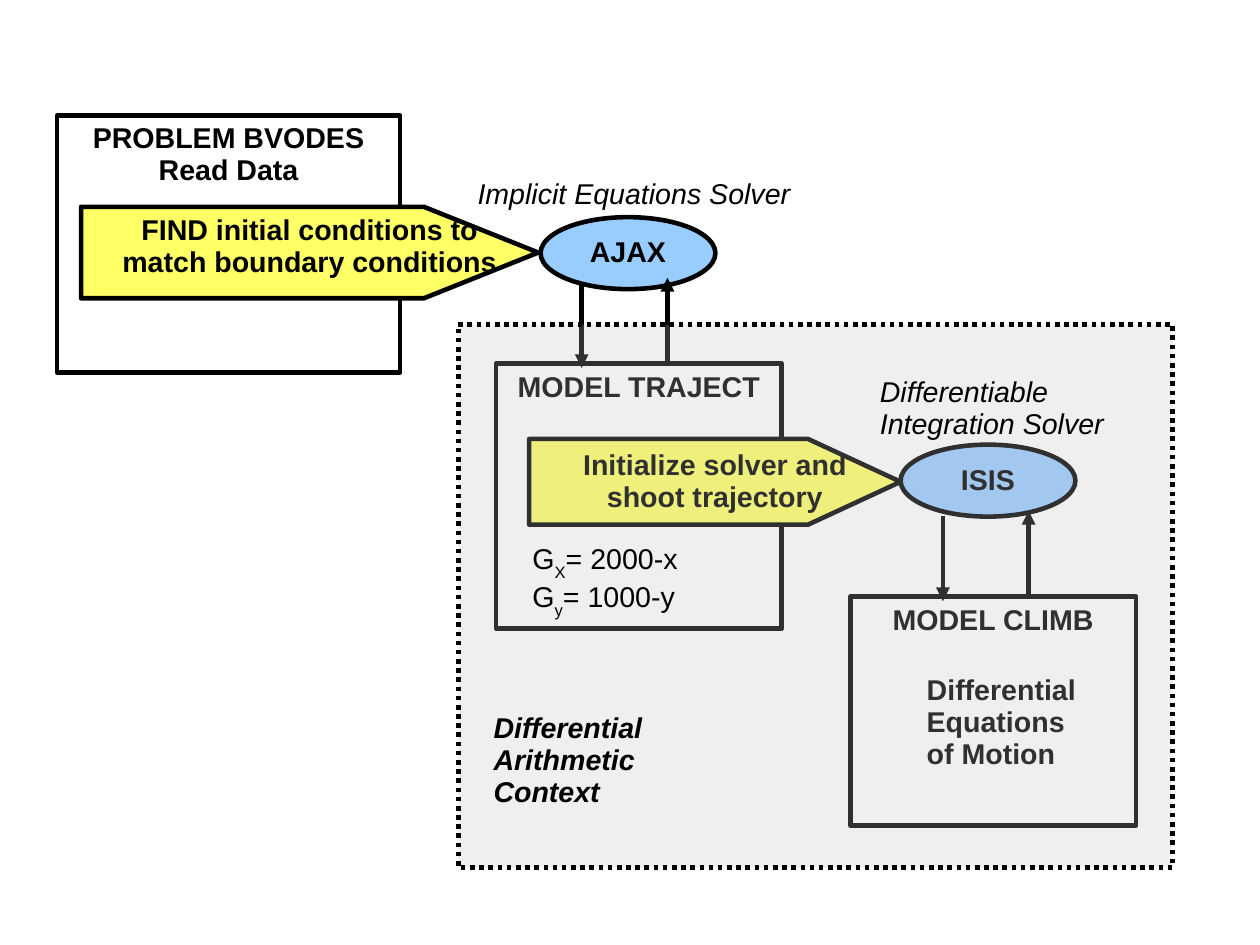
"""Build a slide showing nested solvers and models in a differential arithmetic context."""
from lxml import etree
from pptx import Presentation
from pptx.dml.color import RGBColor
from pptx.enum.dml import MSO_LINE
from pptx.enum.shapes import MSO_CONNECTOR, MSO_SHAPE
from pptx.enum.text import MSO_ANCHOR, PP_ALIGN
from pptx.oxml.ns import qn
from pptx.util import Inches, Pt

BLACK, WHITE, YELLOW, BLUE, GREY = "000000", "FFFFFF", "FFFF66", "99CCFF", "C0C0C0"
LINE_WIDTH = Pt(2.89)
rgb = RGBColor.from_string


def style(s, fill):
    s.shadow.inherit = False
    s.fill.solid()
    s.fill.fore_color.rgb = rgb(fill)
    s.line.color.rgb = rgb(BLACK)
    s.line.width = LINE_WIDTH


def write(s, lines, inset, align, anchor=MSO_ANCHOR.TOP, bold=True, italic=False, wrap=True):
    tf = s.text_frame
    tf.word_wrap = wrap
    tf.vertical_anchor = anchor
    tf.margin_left = tf.margin_right = Inches(inset[0])
    tf.margin_top = tf.margin_bottom = Inches(inset[1])
    for i, line in enumerate(lines):
        p = tf.add_paragraph() if i else tf.paragraphs[0]
        p.alignment = align
        p.line_spacing = 0.93
        for k, row in enumerate(line.split("\n")):
            if k:
                p.add_line_break()
            for j, part in enumerate(row.split("_")):
                r = p.add_run()
                r.text = part
                r.font.name = "Arial"
                r.font.size = Pt(18)
                r.font.bold = bold
                r.font.italic = italic
                r.font.color.rgb = rgb(BLACK)
                if j % 2:
                    r._r.get_or_add_rPr().set("baseline", "-33000")


prs = Presentation()
prs.slide_width, prs.slide_height = Pt(793.75), Pt(595.25)
slide = prs.slides.add_slide(prs.slide_layouts[6])
sp = slide.shapes
SHAPE_INSET, LABEL_INSET = (0.12, 0.07), (0.1, 0.05)

boxes = [
    (0.5, 1.01, 3, 2.25, ["PROBLEM BVODES", "Read Data"]),
    (7.44, 5.22, 2.5, 2, ["MODEL CLIMB"]),
    (4.34, 3.18, 2.5, 2.32, ["MODEL TRAJECT"]),
]
for x, y, w, h, lines in boxes:
    s = sp.add_shape(MSO_SHAPE.ROUNDED_RECTANGLE, Inches(x), Inches(y), Inches(w), Inches(h))
    s.adjustments[0] = 0
    style(s, WHITE)
    write(s, lines, SHAPE_INSET, PP_ALIGN.CENTER)

for x, y, name in [(4.73, 1.9, "AJAX"), (7.88, 3.89, "ISIS")]:
    s = sp.add_shape(MSO_SHAPE.OVAL, Inches(x), Inches(y), Inches(1.53), Inches(0.63))
    style(s, BLUE)
    write(s, [name], SHAPE_INSET, PP_ALIGN.CENTER, MSO_ANCHOR.MIDDLE)

flags = [
    (0.71, 1.81, 4, 0.8, 1, MSO_ANCHOR.TOP,
     ["FIND initial conditions to", "match boundary conditions"]),
    (4.63, 3.84, 3.25, 0.75, 0.81, MSO_ANCHOR.MIDDLE,
     ["Initialize solver and", "shoot trajectory"]),
]
for x, y, w, h, tip, anchor, lines in flags:
    shoulder = x + w - tip
    points = [(shoulder, y), (x + w, y + h / 2), (shoulder, y + h), (x, y + h)]
    fb = sp.build_freeform(Inches(x), Inches(y))
    fb.add_line_segments([(Inches(px), Inches(py)) for px, py in points], close=True)
    s = fb.convert_to_shape()
    style(s, YELLOW)
    write(s, lines, SHAPE_INSET, PP_ALIGN.CENTER, anchor, wrap=False)

arrows = [(8.25, 4.51, 5.26), (9, 5.22, 4.47), (5.09, 2.47, 3.22), (5.84, 3.19, 2.43)]
for x, start, end in arrows:
    s = sp.add_connector(MSO_CONNECTOR.STRAIGHT, Inches(x), Inches(start), Inches(x), Inches(end))
    s.line.color.rgb = rgb(BLACK)
    s.line.width = LINE_WIDTH
    etree.SubElement(s.line._get_or_add_ln(), qn("a:tailEnd"), type="triangle")
    etree.SubElement(s._element.spPr, qn("a:effectLst"))

s = sp.add_textbox(Inches(8.01), Inches(5.86), Inches(1.55), Inches(1.22))
write(s, ["Differential", "Equations", "of Motion"], LABEL_INSET, PP_ALIGN.LEFT)

context = sp.add_shape(
    MSO_SHAPE.ROUNDED_RECTANGLE, Inches(4.01), Inches(2.84), Inches(6.25), Inches(4.75))
context.adjustments[0] = 0
style(context, GREY)
context.line.dash_style = MSO_LINE.ROUND_DOT
colour = context._element.spPr.find(qn("a:solidFill"))[0]
etree.SubElement(colour, qn("a:alpha"), val="25000")

labels = [
    (4.22, 6.19, 1.57, 0.94, True, True, ["Differential\nArithmetic\nContext"]),
    (4.08, 1.52, 3, 0.38, False, True, ["Implicit Equations Solver"]),
    (7.6, 3.25, 2.25, 0.66, False, True, ["Differentiable", "Integration Solver"]),
    (4.56, 4.68, 1.55, 0.82, False, False, ["G_X_= 2000-x", "G_y_= 1000-y"]),
]
for x, y, w, h, bold, italic, lines in labels:
    s = sp.add_textbox(Inches(x), Inches(y), Inches(w), Inches(h))
    write(s, lines, LABEL_INSET, PP_ALIGN.LEFT, bold=bold, italic=italic)

prs.save("out.pptx")
